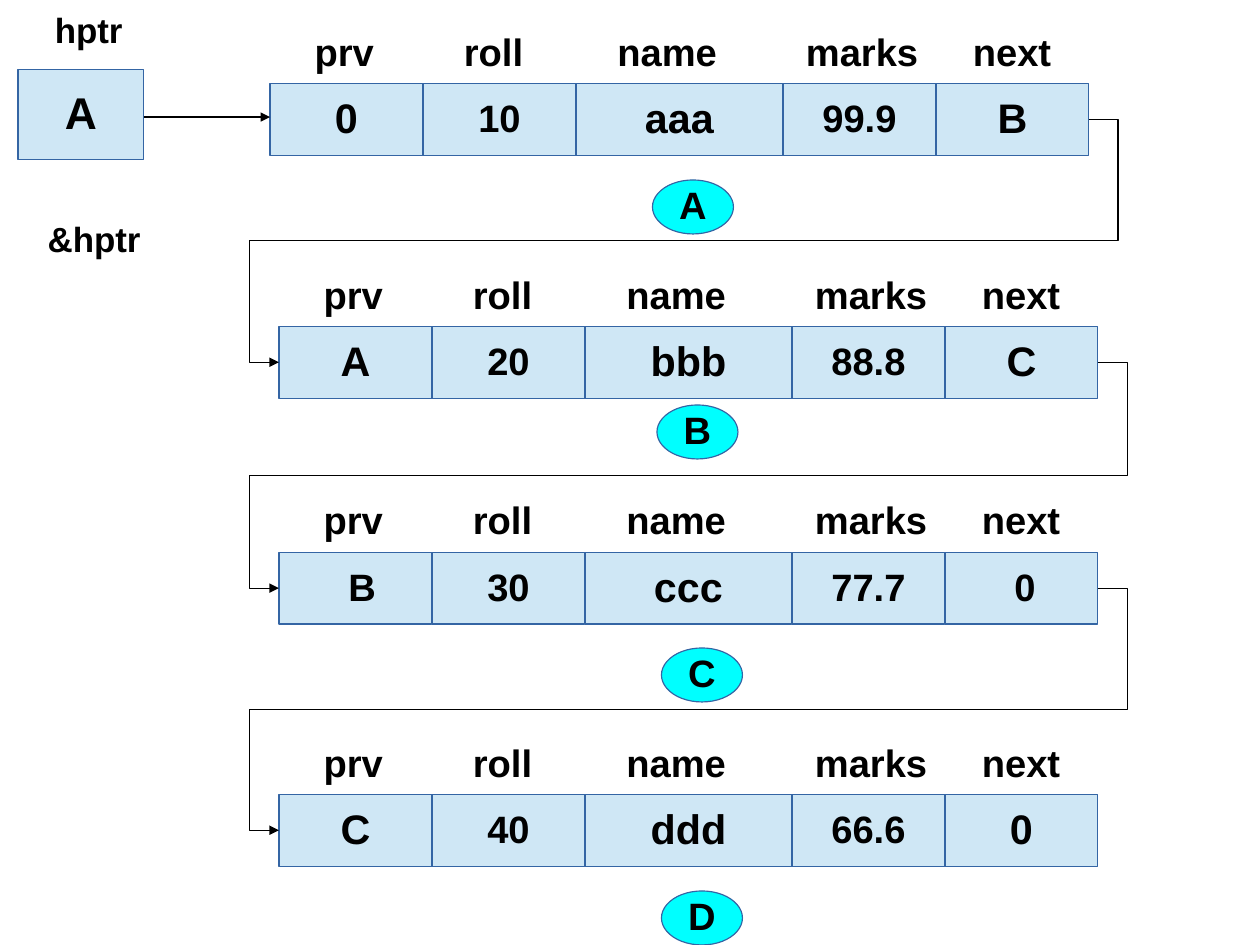
"""Draw a doubly linked list of four student records."""
from dataclasses import dataclass

from lxml import etree
from pptx import Presentation
from pptx.dml.color import RGBColor
from pptx.enum.shapes import MSO_CONNECTOR, MSO_SHAPE
from pptx.enum.text import MSO_ANCHOR, PP_ALIGN
from pptx.oxml.ns import qn
from pptx.util import Cm, Pt

RECTANGLE, OVAL = MSO_SHAPE.RECTANGLE, MSO_SHAPE.OVAL
STRAIGHT, ELBOW = MSO_CONNECTOR.STRAIGHT, MSO_CONNECTOR.ELBOW
MIDDLE, TOP = MSO_ANCHOR.MIDDLE, MSO_ANCHOR.TOP
CENTER, LEFT = PP_ALIGN.CENTER, PP_ALIGN.LEFT

COLORS = {"cell": "CFE7F5", "border": "3465A4", "address": "00FFFF", "ink": "000000"}
CELL_HEIGHT = 1.6
LABEL_RISE = 1.27
BEND = 0.65
SIDE_INSET = 0.25


@dataclass(frozen=True)
class Field:
    name: str
    width: float
    size: int
    label_offset: float
    label_width: float


@dataclass(frozen=True)
class Node:
    address: str
    left: float
    top: float
    values: tuple[str, ...]
    address_left: float
    address_top: float
    indented: tuple[str, ...] = ()

    @property
    def right(self) -> float:
        return self.left + sum(field.width for field in FIELDS)

    @property
    def middle(self) -> float:
        return self.top + CELL_HEIGHT / 2


FIELDS = (
    Field("prv", 3.4, 26, 0.74, 1.83),
    Field("roll", 3.4, 24, 4.06, 1.83),
    Field("name", 4.6, 26, 7.47, 2.72),
    Field("marks", 3.4, 24, 11.66, 3.0),
    Field("next", 3.4, 26, 15.37, 2.24),
)
NODES = (
    Node("A", 6.0, 1.85, ("0", "10", "aaa", "99.9", "B"), 14.5, 4.0),
    Node("B", 6.2, 7.25, ("A", "20", "bbb", "88.8", "C"), 14.6, 9.0),
    Node("C", 6.2, 12.27, ("B", "30", "ccc", "77.7", "0"), 14.7, 14.4, ("prv", "next")),
    Node("D", 6.2, 17.65, ("C", "40", "ddd", "66.6", "0"), 14.7, 19.8),
)


def write_text(shape, text: str, size: int, frame_format: dict, align) -> None:
    """Put one bold line of text in a shape."""
    frame = shape.text_frame
    for name, value in frame_format.items():
        setattr(frame, name, value)
    para = frame.paragraphs[0]
    para.alignment = align
    para.line_spacing = 0.94
    span = para.add_run()
    span.text = text
    font_format = {"name": "Arial", "size": Pt(size), "bold": True}
    for name, value in font_format.items():
        setattr(span.font, name, value)
    span.font.color.rgb = RGBColor.from_string(COLORS["ink"])


def add_label(page, text: str, left: float, top: float, width: float, size: int = 24) -> None:
    """Add a caption above a cell."""
    box = page.shapes.add_textbox(Cm(left), Cm(top), Cm(width), Cm(LABEL_RISE))
    frame_format = {"word_wrap": True, "vertical_anchor": TOP, "margin_right": 0}
    write_text(box, text, size, frame_format, LEFT)


def add_box(page, kind, text: str, bounds: tuple[float, ...], fill: str, size: int,
            indent: float = 0) -> None:
    """Add a filled shape whose text is centred or, with an indent, set left."""
    box = page.shapes.add_shape(kind, *map(Cm, bounds))
    box.shadow.inherit = False
    box.fill.solid()
    box.fill.fore_color.rgb = RGBColor.from_string(COLORS[fill])
    box.line.color.rgb = RGBColor.from_string(COLORS["border"])
    box.line.width = Pt(0.75)
    frame_format = {"word_wrap": True, "vertical_anchor": MIDDLE,
                    "margin_left": Cm(SIDE_INSET + indent)}
    write_text(box, text, size, frame_format, LEFT if indent else CENTER)


def add_arrow(page, kind, start: tuple[float, float], end: tuple[float, float]):
    """Add a thin connector with a triangle at its end."""
    arrow = page.shapes.add_connector(kind, *map(Cm, start + end))
    arrow.line.color.rgb = RGBColor.from_string(COLORS["ink"])
    arrow.line.width = Pt(0.75)
    properties = arrow.element.spPr
    etree.SubElement(properties.find(qn("a:ln")), qn("a:tailEnd"), type="triangle")
    etree.SubElement(properties, qn("a:effectLst"))
    return arrow


def link_nodes(page, source: Node, target: Node) -> None:
    """Lead an arrow around both nodes, from the next cell to the prv cell."""
    arrow = add_arrow(page, ELBOW, (source.right, source.middle), (target.left, target.middle))
    geometry = arrow.element.spPr.find(qn("a:prstGeom"))
    geometry.set("prst", "bentConnector5")
    guides = geometry.find(qn("a:avLst"))
    if guides is None:
        guides = etree.SubElement(geometry, qn("a:avLst"))
    overshoot = BEND / (source.right - target.left)
    for number, share in enumerate((-overshoot, 0.5, 1 + overshoot), start=1):
        etree.SubElement(guides, qn("a:gd"), name=f"adj{number}",
                         fmla=f"val {round(share * 100000)}")


def draw_node(page, node: Node) -> None:
    """Draw the cells, captions and address of one node."""
    left = node.left
    for field, value in zip(FIELDS, node.values):
        indented = field.name in node.indented
        add_box(page, RECTANGLE, value, (left, node.top, field.width, CELL_HEIGHT), "cell",
                24 if indented else field.size, 1.29 if indented else 0)
        add_label(page, field.name, node.left + field.label_offset,
                  node.top - LABEL_RISE, field.label_width)
        left += field.width
    add_box(page, OVAL, node.address, (node.address_left, node.address_top, 1.8, 1.2),
            "address", 24)


def main() -> None:
    """Build the slide and save the deck."""
    deck = Presentation()
    deck.slide_width, deck.slide_height = Cm(28), Cm(21)
    page = deck.slides.add_slide(deck.slide_layouts[6])
    add_box(page, RECTANGLE, "A", (0.4, 1.55, 2.8, 2.0), "cell", 28)
    add_label(page, "hptr", 0.97, 0.15, 2.0, 22)
    add_label(page, "&hptr", 0.81, 4.78, 2.57, 22)
    for node in NODES:
        draw_node(page, node)
    add_arrow(page, STRAIGHT, (3.2, 2.6), (6.0, 2.6))
    for source, target in zip(NODES, NODES[1:]):
        link_nodes(page, source, target)
    deck.save("out.pptx")


if __name__ == "__main__":
    main()
